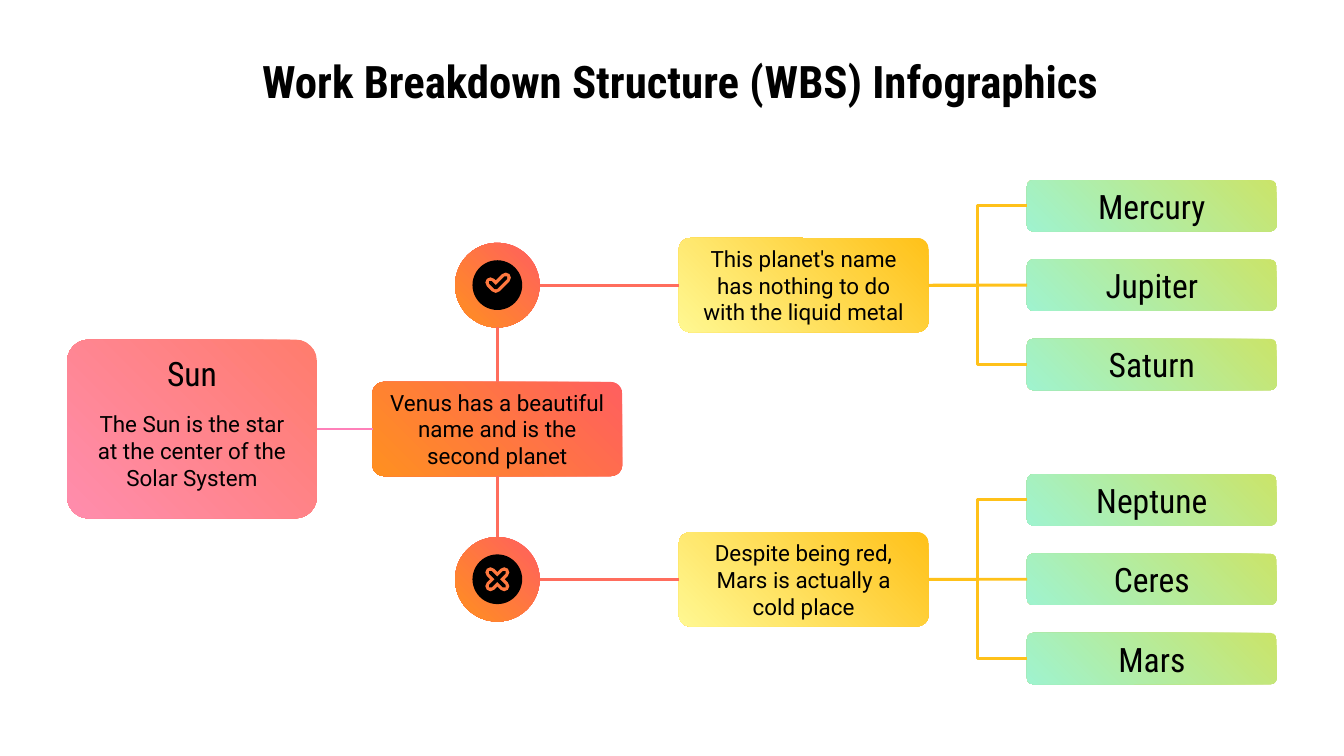
from dataclasses import dataclass

from lxml.etree import SubElement
from pptx import Presentation
from pptx.dml.color import RGBColor
from pptx.enum.shapes import MSO_CONNECTOR, MSO_SHAPE
from pptx.enum.text import MSO_ANCHOR, PP_ALIGN
from pptx.oxml.ns import qn
from pptx.util import Cm, Pt


@dataclass(frozen=True)
class Theme:
    """Colours, fonts and type sizes of the slide."""
    ink: str = "000000"
    icon: str = "FF783F"
    pink: tuple = ("FF7C6D", "FF8DAD")
    orange: tuple = ("FF5F5F", "FF9020")
    yellow: tuple = ("FFC119", "FFF892")
    green: tuple = ("CBE469", "9FF3CF")
    pink_line: str = "FF80B9"
    orange_line: str = "FF6D5D"
    yellow_line: str = "FFC119"
    head_font: str = "Roboto Condensed"
    body_font: str = "Roboto"
    title_size: int = 24
    head_size: int = 18
    body_size: int = 12


T = Theme()
HEAD = dict(font=T.head_font, size=T.head_size)
BODY = dict(font=T.body_font, size=T.body_size)
BOX_W, BOX_H, LEAF_H, LEAF_PITCH = 4.72, 1.78, 0.97, 1.5
SUN_X, VENUS_X, PLANET_X, LEAF_X = 1.27, 7.04, 12.83, 19.41
MID_Y = 8.11
HUB_X, HUB_D, DISC_D = VENUS_X + BOX_W / 2, 1.6, 0.94
CHECK = [[(-0.13, -0.05), (-0.03, 0.05), (0.16, -0.14)]]
CROSS = [[(-0.13, -0.13), (0.13, 0.13)], [(0.13, -0.13), (-0.13, 0.13)]]
BRANCHES = [
    (5.39, CHECK, "This planet's name has nothing to do with the liquid metal",
     ("Mercury", "Jupiter", "Saturn")),
    (10.95, CROSS, "Despite being red, Mars is actually a cold place",
     ("Neptune", "Ceres", "Mars")),
]


def write_text(sp, text, font, size, bold=False, anchor=MSO_ANCHOR.TOP):
    """Put one centred, wrapped paragraph into a shape."""
    tf = sp.text_frame
    tf.word_wrap = True
    tf.vertical_anchor = anchor
    tf.margin_left = tf.margin_right = tf.margin_top = tf.margin_bottom = Cm(0.25)
    p = tf.paragraphs[0]
    p.alignment = PP_ALIGN.CENTER
    r = p.add_run()
    r.text = text
    r.font.name, r.font.size, r.font.bold = font, Pt(size), bold
    r.font.color.rgb = RGBColor.from_string(T.ink)


def add_label(s, x, y, w, h, text, **fmt):
    """Add a text box."""
    write_text(s.shapes.add_textbox(Cm(x), Cm(y), Cm(w), Cm(h)), text, **fmt)


def add_plain(s, kind, x, mid_y, w, h):
    """Add an unlined shape centred vertically on mid_y."""
    sp = s.shapes.add_shape(kind, Cm(x), Cm(mid_y - h / 2), Cm(w), Cm(h))
    sp.shadow.inherit = False
    sp.line.fill.background()
    return sp


def fill_gradient(sp, colours):
    """Blend two colours from top right to bottom left."""
    sp.fill.gradient()
    sp.fill.gradient_angle = 225
    for stop, colour in zip(sp.fill.gradient_stops, colours):
        stop.color.rgb = RGBColor.from_string(colour)


def add_box(s, x, mid_y, h, colours, text=None, **fmt):
    """Add a rounded gradient box."""
    sp = add_plain(s, MSO_SHAPE.ROUNDED_RECTANGLE, x, mid_y, BOX_W, h)
    sp.adjustments[0] = 0.12
    fill_gradient(sp, colours)
    if text:
        write_text(sp, text, anchor=MSO_ANCHOR.MIDDLE, **fmt)
    return sp


def add_stroke(s, x, y, strokes, colour, width):
    """Draw round-ended strokes around a centre point."""
    fb = None
    for stroke in strokes:
        pts = [(Cm(x + dx), Cm(y + dy)) for dx, dy in stroke]
        if fb is None:
            fb = s.shapes.build_freeform(*pts[0])
        else:
            fb.move_to(*pts[0])
        fb.add_line_segments(pts[1:], close=False)
    sp = fb.convert_to_shape()
    sp.shadow.inherit = False
    sp.fill.background()
    sp.line.width = Pt(width)
    sp.line.color.rgb = RGBColor.from_string(colour)
    ln = sp.line._get_or_add_ln()
    ln.set("cap", "rnd")
    SubElement(ln, qn("a:round"))


def add_hub(s, mid_y, strokes):
    """Add a gradient circle with an icon on a dark disc."""
    ring = add_plain(s, MSO_SHAPE.OVAL, HUB_X - HUB_D / 2, mid_y, HUB_D, HUB_D)
    fill_gradient(ring, T.orange)
    disc = add_plain(s, MSO_SHAPE.OVAL, HUB_X - DISC_D / 2, mid_y, DISC_D, DISC_D)
    disc.fill.solid()
    disc.fill.fore_color.rgb = RGBColor.from_string(T.ink)
    add_stroke(s, HUB_X, mid_y, strokes, T.icon, 5.5)
    add_stroke(s, HUB_X, mid_y, strokes, T.ink, 2)


def add_link(s, colour, begin, end, kind=MSO_CONNECTOR.STRAIGHT):
    """Link two ends, each a point in cm or a (shape, side) pair."""
    cx = s.shapes.add_connector(kind, 0, 0, 0, 0)
    cx.line.color.rgb = RGBColor.from_string(colour)
    cx.line.width = Pt(1.5)
    SubElement(cx._element.spPr, qn("a:effectLst"))
    if isinstance(begin[0], float):
        cx.begin_x, cx.begin_y = Cm(begin[0]), Cm(begin[1])
    else:
        cx.begin_connect(*begin)
    if isinstance(end[0], float):
        cx.end_x, cx.end_y = Cm(end[0]), Cm(end[1])
    else:
        cx.end_connect(*end)


def add_branch(s, venus, mid_y, strokes, text, names):
    """Add one hub, its planet box and its three leaves."""
    side = 1 if mid_y < MID_Y else -1
    add_hub(s, mid_y, strokes)
    planet = add_box(s, PLANET_X, mid_y, BOX_H, T.yellow, text, **BODY)
    add_link(s, T.orange_line, (HUB_X, mid_y + side * HUB_D / 2),
             (venus, 0 if side > 0 else 2))
    add_link(s, T.orange_line, (HUB_X + HUB_D / 2, mid_y), (planet, 1))
    for i, name in enumerate(names, -1):
        leaf = add_box(s, LEAF_X, mid_y + i * LEAF_PITCH, LEAF_H, T.green, name, **HEAD)
        kind = MSO_CONNECTOR.ELBOW if i else MSO_CONNECTOR.STRAIGHT
        add_link(s, T.yellow_line, (planet, 3), (leaf, 1), kind)


def main():
    """Build the slide and save it."""
    prs = Presentation()
    prs.slide_width, prs.slide_height = Cm(25.4), Cm(14.29)
    s = prs.slides.add_slide(prs.slide_layouts[6])
    add_label(s, 1.02, 0.76, 23.67, 1.6, "Work Breakdown Structure (WBS) Infographics",
              font=T.head_font, size=T.title_size, bold=True)
    sun = add_box(s, SUN_X, MID_Y, 3.38, T.pink)
    add_label(s, 1.58, 6.42, 4.1, 1.09, "Sun", **HEAD)
    add_label(s, 1.58, 7.5, 4.1, 1.83,
              "The Sun is the star at the center of the Solar System", **BODY)
    venus = add_box(s, VENUS_X, MID_Y, BOX_H, T.orange,
                    "Venus has a beautiful name and is the second planet", **BODY)
    add_link(s, T.pink_line, (venus, 1), (sun, 3))
    for branch in BRANCHES:
        add_branch(s, venus, *branch)
    prs.save("out.pptx")


if __name__ == "__main__":
    main()
